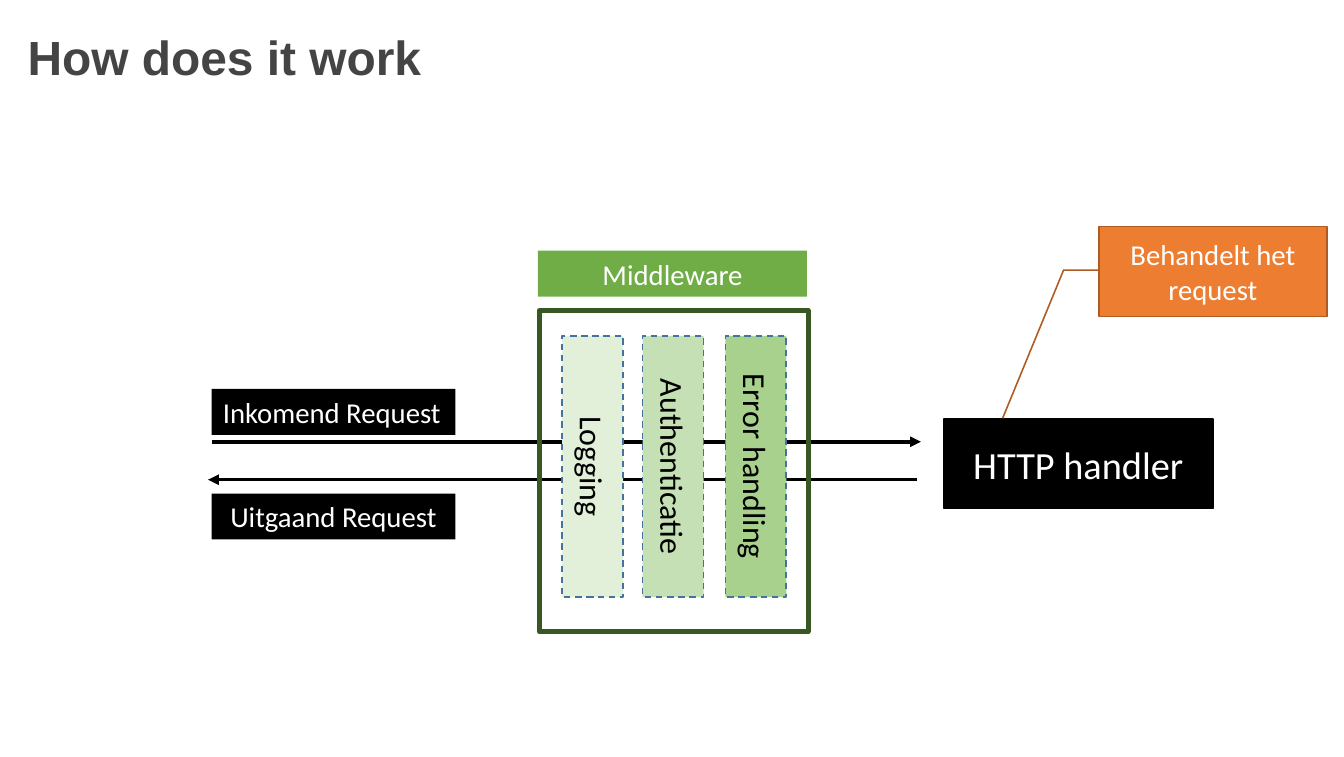
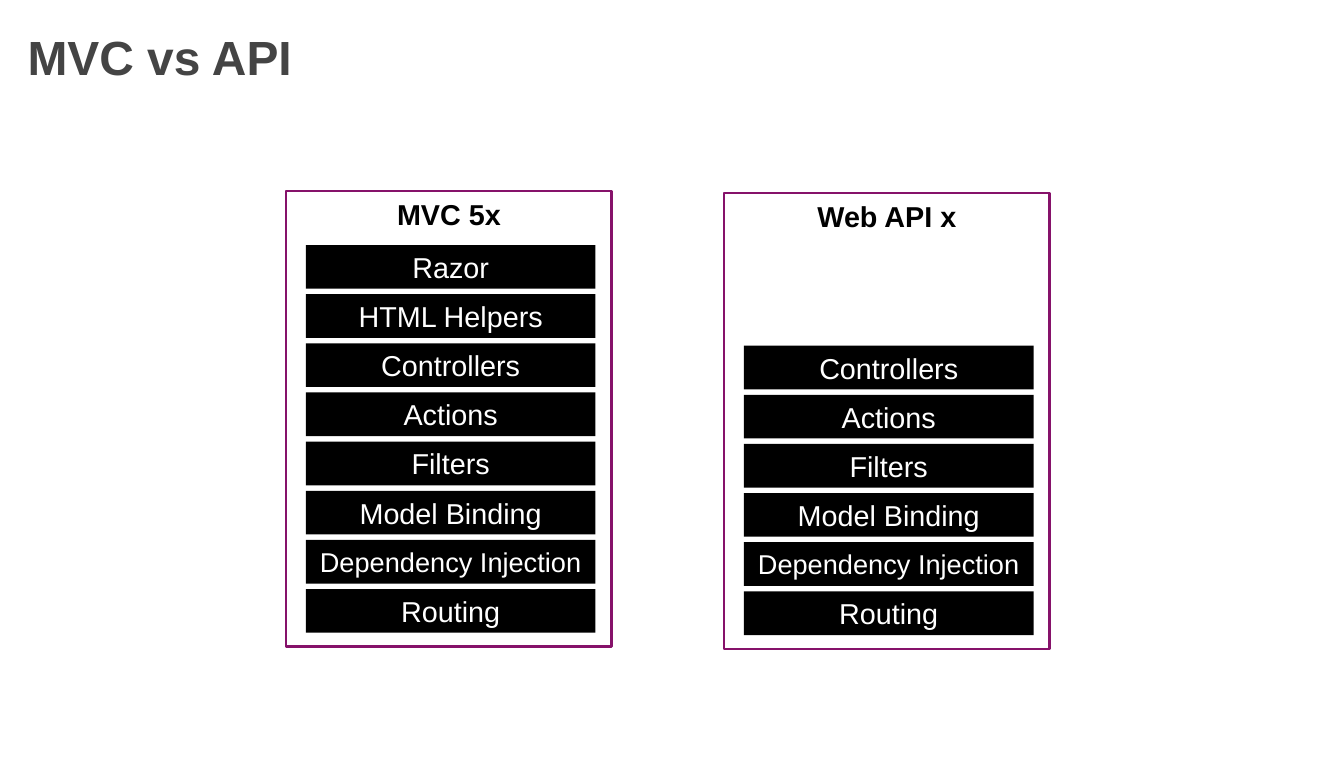
from lxml.etree import SubElement
from pptx import Presentation
from pptx.dml.color import RGBColor
from pptx.enum.dml import MSO_LINE
from pptx.enum.shapes import MSO_CONNECTOR, MSO_SHAPE
from pptx.enum.text import MSO_ANCHOR, PP_ALIGN
from pptx.oxml.ns import qn
from pptx.util import Inches, Pt

BLACK, WHITE, TITLE_GREY = "000000", "FFFFFF", "444444"
GREEN, DARK_GREEN, STRIP_EDGE = "70AD47", "385723", "43739E"
ORANGE, DARK_ORANGE, PURPLE = "ED7D31", "AF5C24", "86126A"

# Middleware slide: text, fill, left edge
STRIPS = [("Logging", "E2F0D9", 4.89), ("Authenticatie", "C5E0B4", 5.59),
          ("Error handling", "A9D18E", 6.31)]
# Arrow start x, end x, y
ARROWS = [(1.84, 8.01, 3.84), (7.98, 1.81, 4.17)]
CALLOUT_BENDS = [0.484, -0.004, 0.484, -0.156, 2.137, -0.424]

# Comparison slide: heading, left, top, layers (stacked up from the bottom)
SHARED_LAYERS = ["Controllers", "Actions", "Filters", "Model Binding",
                 "Dependency Injection", "Routing"]
STACKS = [("MVC 5x", 2.49, 1.66, ["Razor", "HTML Helpers"] + SHARED_LAYERS),
          ("Web API x", 6.3, 1.68, SHARED_LAYERS)]
FULL_STACK = 8
FIRST_LAYER, LAST_LAYER = 0.47, 3.46  # offsets from the top of the frame
LAYER_PITCH = (LAST_LAYER - FIRST_LAYER) / (FULL_STACK - 1)


def color(value):
    return RGBColor.from_string(value)


def style_text(shape, text, size, font, ink, bold=False, align=PP_ALIGN.CENTER):
    shape.text_frame.text = text
    para = shape.text_frame.paragraphs[0]
    para.alignment = align
    for span in para.runs:
        span.font.size, span.font.name, span.font.bold = Pt(size), font, bold
        span.font.color.rgb = color(ink)


def add_box(slide, at, text="", size=18, font="Calibri", ink=WHITE, fill=None,
            edge=None, weight=1, anchor=MSO_ANCHOR.MIDDLE, kind=MSO_SHAPE.RECTANGLE,
            **text_options):
    box = slide.shapes.add_shape(kind, *map(Inches, at))
    box.shadow.inherit = False
    if fill:
        box.fill.solid()
        box.fill.fore_color.rgb = color(fill)
    else:
        box.fill.background()
    if edge:
        box.line.color.rgb = color(edge)
        box.line.width = Pt(weight)
    else:
        box.line.fill.background()
    box.text_frame.word_wrap = True
    box.text_frame.vertical_anchor = anchor
    if text:
        style_text(box, text, size, font, ink, **text_options)
    return box


def add_arrow(slide, start, end, y):
    arrow = slide.shapes.add_connector(
        MSO_CONNECTOR.STRAIGHT, Inches(start), Inches(y), Inches(end), Inches(y))
    arrow.line.color.rgb = color(BLACK)
    arrow.line.width = Pt(2.25)
    SubElement(arrow.line._get_or_add_ln(), qn("a:tailEnd"), type="triangle")
    SubElement(arrow._element.spPr, qn("a:effectLst"))


def add_titled_slide(deck, text):
    slide = deck.slides.add_slide(deck.slide_layouts[5])
    title = slide.shapes.title
    title.left, title.top, title.width, title.height = map(
        Inches, (0.24, 0.2, 11.23, 0.69))
    frame = title.text_frame
    frame.margin_left = frame.margin_right = frame.margin_bottom = 0
    frame.margin_top = Inches(0.04)
    frame.vertical_anchor = MSO_ANCHOR.TOP
    style_text(title, text, 30, "Arial", TITLE_GREY, bold=True, align=PP_ALIGN.LEFT)
    return slide


def build_middleware_slide(deck):
    slide = add_titled_slide(deck, "How does it work")
    add_box(slide, (8.21, 3.64, 2.34, 0.78), "HTTP handler", size=24,
            fill=BLACK, edge=BLACK)
    for arrow in ARROWS:
        add_arrow(slide, *arrow)
    incoming = add_box(slide, (1.84, 3.38, 2.12, 0.4), "Inkomend Request", fill=BLACK,
                       anchor=MSO_ANCHOR.TOP, align=PP_ALIGN.LEFT)
    incoming.text_frame.word_wrap = False
    add_box(slide, (1.84, 4.29, 2.12, 0.4), "Uitgaand Request", fill=BLACK,
            anchor=MSO_ANCHOR.TOP)
    for text, fill, left in STRIPS:
        strip = add_box(slide, (left, 2.92, 0.53, 2.27), text, size=20, ink=BLACK,
                        fill=fill, edge=STRIP_EDGE)
        strip.line.dash_style = MSO_LINE.DASH
        strip.text_frame._txBody.bodyPr.set("vert", "vert")
    add_box(slide, (4.69, 2.7, 2.34, 2.79), edge=DARK_GREEN, weight=3)
    add_box(slide, (4.68, 2.18, 2.34, 0.4), "Middleware", fill=GREEN,
            anchor=MSO_ANCHOR.TOP)
    callout = add_box(slide, (9.56, 1.97, 1.98, 0.78), "Behandelt het request",
                      fill=ORANGE, edge=DARK_ORANGE, kind=MSO_SHAPE.LINE_CALLOUT_2)
    for index, bend in enumerate(CALLOUT_BENDS):
        callout.adjustments[index] = bend


def build_comparison_slide(deck):
    slide = add_titled_slide(deck, "MVC vs API")
    for heading, left, top, layers in STACKS:
        add_box(slide, (left, top, 2.83, 3.96), heading, font="Arial", ink=BLACK,
                edge=PURPLE, weight=1.5, anchor=MSO_ANCHOR.TOP, bold=True)
        for row, layer in enumerate(layers, FULL_STACK - len(layers)):
            layer_top = top + FIRST_LAYER + row * LAYER_PITCH
            add_box(slide, (left + 0.17, layer_top, 2.52, 0.38), layer, font="Arial",
                    size=17 if layer == "Dependency Injection" else 18, fill=BLACK)


def main():
    deck = Presentation()
    deck.slide_width, deck.slide_height = Inches(11.69), Inches(6.58)
    build_middleware_slide(deck)
    build_comparison_slide(deck)
    deck.save("out.pptx")


if __name__ == "__main__":
    main()
